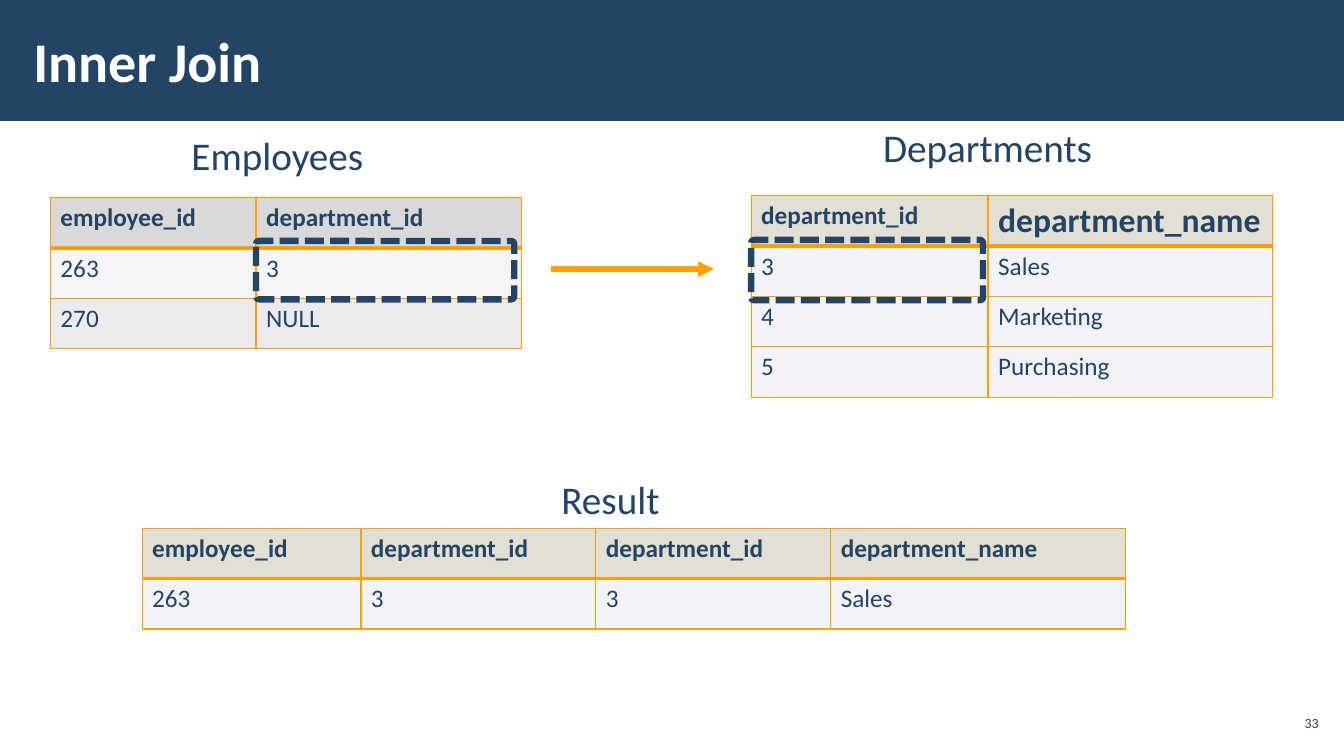
"""Build the Inner Join slide with two source tables and their joined result."""
from dataclasses import dataclass

from lxml.etree import SubElement
from pptx import Presentation
from pptx.dml.color import RGBColor
from pptx.enum.dml import MSO_LINE
from pptx.enum.shapes import MSO_CONNECTOR, MSO_SHAPE
from pptx.enum.text import MSO_ANCHOR, MSO_AUTO_SIZE, PP_ALIGN
from pptx.oxml.ns import qn
from pptx.util import Pt

PX = 9144
FONT = "Calibri"
ROW_HEIGHT = 50
COLORS = {
    "navy": "234465", "white": "FFFFFF", "orange": "FFA000", "grey": "D9D9D9",
    "light": "F4F5F7", "band": "EBEBEE", "sand": "C6C0AA", "mist": "C2C7D2",
}


@dataclass(frozen=True)
class Fill:
    color: str
    opacity: int = 100


@dataclass(frozen=True)
class Relation:
    left: int
    top: int
    widths: list[int]
    rows: list[list[str]]
    fills: list[Fill]
    last_header_size: int = 18


@dataclass(frozen=True)
class Label:
    text: str
    left: int
    top: int
    width: int


@dataclass(frozen=True)
class Highlight:
    left: int
    top: int
    width: int
    height: int


SAND, MIST = Fill("sand", 50), Fill("mist", 20)
RELATIONS = [
    Relation(50, 196, [204, 263],
             [["employee_id", "department_id"], ["263", "3"], ["270", "NULL"]],
             [Fill("grey"), Fill("light"), Fill("band")]),
    Relation(745, 194, [235, 282],
             [["department_id", "department_name"], ["3", "Sales"],
              ["4", "Marketing"], ["5", "Purchasing"]],
             [SAND, MIST, MIST, MIST], 24),
    Relation(141, 524, [217, 233, 233, 292],
             [["employee_id", "department_id", "department_id", "department_name"],
              ["263", "3", "3", "Sales"]],
             [SAND, MIST]),
]
LABELS = [
    Label("Employees", 180, 125, 192),
    Label("Departments", 866, 117, 230),
    Label("Result", 547, 467, 119),
]
HIGHLIGHTS = [Highlight(254, 239, 256, 58), Highlight(745, 238, 230, 60)]


def px(*lengths: int) -> list[int]:
    return [length * PX for length in lengths]


def rgb(name: str) -> RGBColor:
    return RGBColor.from_string(COLORS[name])


def write(frame, text: str, size: int, color: str = "navy", bold: bool = False) -> None:
    frame.text = text
    font = frame.paragraphs[0].runs[0].font
    font.name, font.size, font.bold = FONT, Pt(size), bold
    font.color.rgb = rgb(color)


def style_cell(cell, fill: Fill, top: int, bottom: int) -> None:
    properties = cell._tc.get_or_add_tcPr()
    for side, points in (("L", 1), ("R", 1), ("T", top), ("B", bottom)):
        border = SubElement(properties, qn(f"a:ln{side}"), w=str(Pt(points)))
        paint = SubElement(border, qn("a:solidFill"))
        SubElement(paint, qn("a:srgbClr"), val=COLORS["orange"])
    cell.fill.solid()
    cell.fill.fore_color.rgb = rgb(fill.color)
    if fill.opacity < 100:
        tint = properties.find(f"{qn('a:solidFill')}/{qn('a:srgbClr')}")
        SubElement(tint, qn("a:alpha"), val=str(fill.opacity * 1000))


def draw_relation(slide, relation: Relation) -> None:
    row_count, column_count = len(relation.rows), len(relation.widths)
    table = slide.shapes.add_table(
        row_count, column_count,
        *px(relation.left, relation.top, sum(relation.widths), ROW_HEIGHT * row_count),
    ).table
    for column, width in zip(table.columns, relation.widths):
        column.width = width * PX
    for r, (values, fill) in enumerate(zip(relation.rows, relation.fills)):
        table.rows[r].height = ROW_HEIGHT * PX
        for c, value in enumerate(values):
            cell = table.cell(r, c)
            last_header = r == 0 and c == column_count - 1
            size = relation.last_header_size if last_header else 18
            write(cell.text_frame, value, size, bold=r == 0)
            style_cell(cell, fill, 3 if r == 1 else 1, 3 if r == 0 else 1)


def draw_label(slide, label: Label) -> None:
    frame = slide.shapes.add_textbox(*px(label.left, label.top, label.width, 57)).text_frame
    frame.word_wrap = False
    frame.auto_size = MSO_AUTO_SIZE.SHAPE_TO_FIT_TEXT
    write(frame, label.text, 28)


def draw_highlight(slide, highlight: Highlight) -> None:
    outline = slide.shapes.add_shape(
        MSO_SHAPE.ROUNDED_RECTANGLE,
        *px(highlight.left, highlight.top, highlight.width, highlight.height),
    )
    outline.adjustments[0] = 0.05
    outline.shadow.inherit = False
    outline.fill.background()
    outline.line.color.rgb = rgb("navy")
    outline.line.width = Pt(4.5)
    outline.line.dash_style = MSO_LINE.SQUARE_DOT


def draw_header(slide) -> None:
    banner = slide.shapes.add_shape(MSO_SHAPE.RECTANGLE, *px(0, 0, 1333, 120))
    banner.shadow.inherit = False
    banner.fill.solid()
    banner.fill.fore_color.rgb = rgb("navy")
    banner.line.fill.background()
    slide.shapes._spTree.insert(2, banner._element)

    title = slide.shapes.title
    title.left, title.top, title.width, title.height = px(21, 11, 1039, 97)
    frame = title.text_frame
    write(frame, "Inner Join", 40, "white", True)
    frame.paragraphs[0].alignment = PP_ALIGN.LEFT
    frame.vertical_anchor = MSO_ANCHOR.MIDDLE
    frame.auto_size = MSO_AUTO_SIZE.NONE
    frame.margin_left = frame.margin_right = 12 * PX
    frame.margin_top = frame.margin_bottom = 4 * PX


def draw_page_number(slide) -> None:
    frame = slide.shapes.add_textbox(*px(1265, 700, 47, 34)).text_frame
    frame.word_wrap = True
    frame.vertical_anchor = MSO_ANCHOR.MIDDLE
    frame.margin_left = frame.margin_right = 4 * PX
    frame.margin_top = frame.margin_bottom = 4 * PX
    write(frame, "33", 10)
    frame.paragraphs[0].alignment = PP_ALIGN.RIGHT


def draw_join_arrow(slide) -> None:
    arrow = slide.shapes.add_connector(MSO_CONNECTOR.STRAIGHT, *px(547, 267, 708, 267))
    arrow.line.color.rgb = rgb("orange")
    arrow.line.width = Pt(3.75)
    SubElement(arrow.line._get_or_add_ln(), qn("a:tailEnd"), type="triangle")
    SubElement(arrow._element.spPr, qn("a:effectLst"))


def main() -> None:
    deck = Presentation()
    deck.slide_width, deck.slide_height = px(1333, 750)
    slide = deck.slides.add_slide(deck.slide_layouts[5])
    draw_header(slide)
    draw_page_number(slide)
    for relation in RELATIONS:
        draw_relation(slide, relation)
    draw_join_arrow(slide)
    for label in LABELS:
        draw_label(slide, label)
    for highlight in HIGHLIGHTS:
        draw_highlight(slide, highlight)
    deck.save("out.pptx")


if __name__ == "__main__":
    main()
